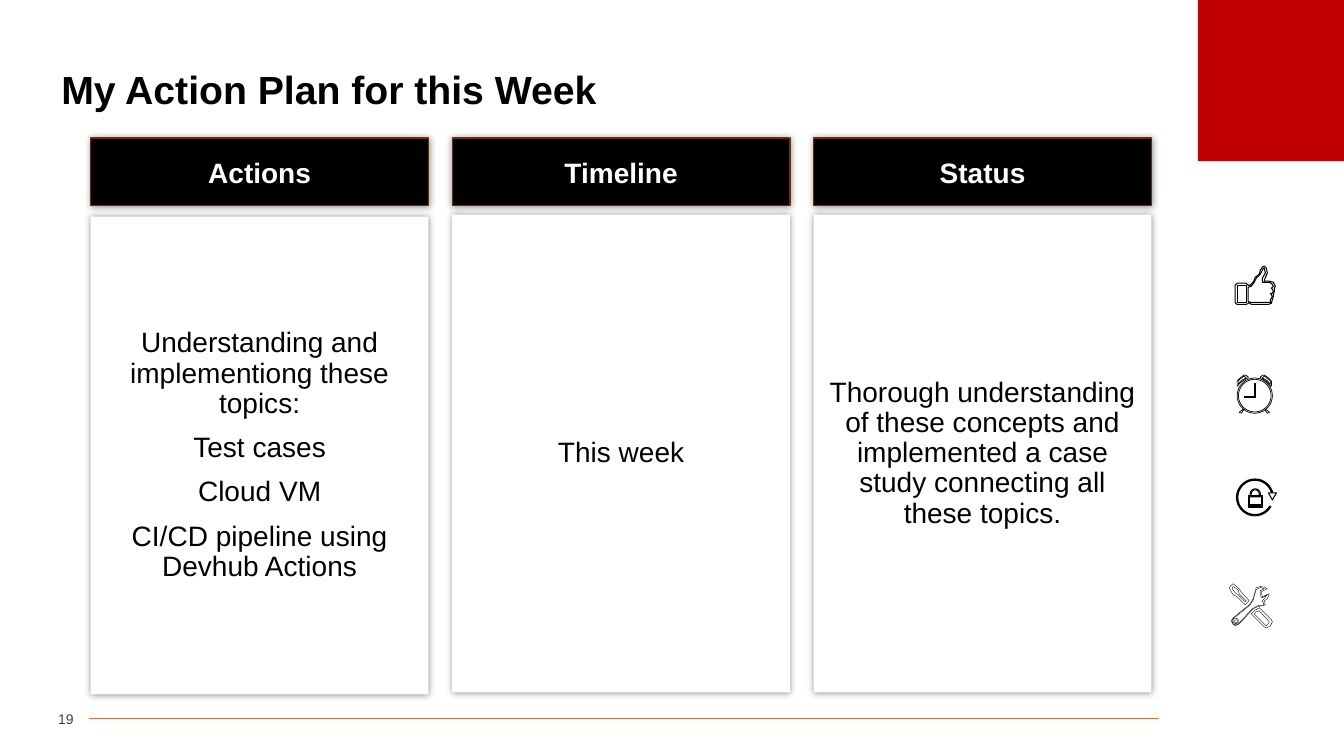
from math import cos, radians, sin
from typing import NamedTuple

from lxml import etree
from pptx import Presentation
from pptx import util as u
from pptx.dml.color import RGBColor
from pptx.enum import shapes, text
from pptx.oxml.ns import qn

Point = tuple[float, float]
Path = list[Point]

LEFT = text.PP_ALIGN.LEFT
MID = text.PP_ALIGN.CENTER
RIGHT = text.PP_ALIGN.RIGHT
WIDE, STEP, START = 3.35, 3.585, 0.9


class Style(NamedTuple):
    size: float
    tint: str
    bold: bool = False
    align: text.PP_ALIGN = MID
    lead: float = 1.0
    before: float = 0


class Column(NamedTuple):
    head: str
    top: float
    lines: list[str]


class Glyph(NamedTuple):
    """One outlined part of an icon; points are in hundredths of an inch."""
    width: float
    paths: list[Path]


TITLE = Style(28, "000000", True, LEFT, 0.9)
HEAD = Style(20, "FFFFFF", True)
BODY = Style(20, "000000", lead=0.9, before=10)
NUMBER = Style(10, "404040", align=RIGHT)

COLUMNS = [
    Column("Actions", 2.15, ["Understanding and implementiong these topics:",
                             "Test cases", "Cloud VM",
                             "CI/CD pipeline using Devhub Actions"]),
    Column("Timeline", 2.13, ["This week"]),
    Column("Status", 2.13, ["Thorough understanding of these concepts and "
                            "implemented a case study connecting all these topics."]),
]


def arc(x: float, y: float, r: float, a: int = 0, b: int = 360) -> Path:
    step = 10 if b > a else -10
    return [(x + r * cos(radians(t)), y + r * sin(radians(t)))
            for t in range(a, b + step, step)]


def box(x: float, y: float, w: float, h: float) -> Path:
    return [(x, y), (x + w, y), (x + w, y + h), (x, y + h)]


def flip(path: Path, axis: float) -> Path:
    return [(2 * axis - x, y) for x, y in path]


# Thumb
THUMB = [
    Glyph(0.75, [
        [(1264, 286), (1265, 284), (1263, 280), (1259, 279), (1254, 279), (1254, 278),
         (1257, 271), (1256, 266), (1254, 264), (1252, 265), (1250, 268), (1249, 272),
         (1245, 275), (1243, 280), (1240, 283), (1238, 283), (1236, 281), (1227, 281),
         (1225, 283), (1225, 300), (1227, 302), (1236, 302), (1238, 301), (1239, 300),
         (1241, 302), (1258, 302), (1261, 301), (1262, 297), (1263, 294), (1263, 292),
         (1264, 289)],
        box(1227, 283, 9, 17),
        [(1262, 285), (1261, 286), (1262, 287), (1263, 289), (1262, 291), (1260, 291),
         (1262, 294), (1261, 296), (1260, 297), (1260, 300), (1258, 300), (1240, 300),
         (1238, 299), (1238, 285), (1241, 284), (1244, 280), (1246, 276), (1250, 272),
         (1252, 268), (1253, 266), (1254, 266), (1255, 271), (1252, 276), (1252, 280),
         (1259, 280), (1262, 282), (1263, 284)],
    ]),
]

# Clock
BELL = [[(1260, 383), (1260, 382), (1257, 379), (1251, 375), (1250, 375), (1250, 374),
         (1252, 372.5), (1254, 372), (1258, 375), (1261, 378), (1261, 383)],
        [(1252, 375), (1256, 377), (1260, 381), (1260, 378), (1258, 376), (1254, 373)]]
FOOT = [[(1257, 410), (1254, 406), (1254, 405), (1259, 409)]]
CLOCK = [Glyph(0.5, [flip(p, 1244) if turn else p for p in part])
         for part in (BELL, FOOT) for turn in (False, True)]
CLOCK += [
    Glyph(0.5, [arc(1244.5, 392.5, 17.5), arc(1244.5, 392.5, 16.2)]),
    Glyph(0.5, [[(1245, 394), (1234, 394), (1234, 393), (1244, 393),
                 (1244, 380), (1245, 380)]]),
]

# Lock
LOCK = [
    Glyph(0.75, [arc(1244.7, 493.5, 18.3, 30, 360) + arc(1244.7, 493.5, 17, 360, 30)]),
    Glyph(0.75, [[(1258, 489), (1262, 496), (1266, 489)]]),
    Glyph(0.75, [[(1240, 493)] + arc(1245, 490, 5, 180, 360) + [(1250, 493)],
                 [(1241, 492)] + arc(1245, 490, 4, 180, 360) + [(1249, 492)]]),
    Glyph(0.75, [box(1238, 492, 14, 11), box(1239, 493, 12, 8)]),
]

# Tools
TOOLS = [
    Glyph(0.25, [
        [(1256, 623), (1254, 622), (1241, 609), (1244, 606), (1249, 603), (1261, 615),
         (1262, 617), (1260, 621), (1258, 622)],
        [(1256, 621), (1258, 619), (1259, 617), (1249, 606), (1246, 607), (1244, 609)]]),
    Glyph(0.25, [
        [(1235, 600), (1227, 592), (1223, 590), (1219, 583), (1223, 579), (1229, 584),
         (1231, 587), (1239, 596), (1237, 598)],
        [(1225, 588), (1228, 590), (1235, 597), (1236, 596), (1229, 589), (1228, 585),
         (1223, 582), (1222, 584)]]),
    Glyph(0.25, [
        [(1251, 582), (1250, 582), (1246, 583), (1245, 586), (1243, 594), (1239, 600),
         (1223, 613), (1221, 616), (1223, 619), (1225, 621), (1229, 619), (1243, 604),
         (1247, 602), (1255, 600), (1254, 596), (1257, 594), (1259, 589), (1252, 592),
         (1251, 587), (1257, 584), (1254, 582.5)],
        [(1251, 583), (1254, 584), (1250, 586), (1250, 589), (1251, 593), (1252, 593),
         (1257, 590), (1253, 595), (1252, 596), (1254, 600), (1247, 601), (1242, 604),
         (1228, 619), (1225, 620), (1223, 619), (1222, 616), (1223, 614), (1240, 600),
         (1243, 595), (1245, 588), (1246, 585), (1250, 583)],
        arc(1225.7, 616, 2.7), arc(1225.9, 616.4, 1.5)]),
]


def color(code: str) -> RGBColor:
    return RGBColor.from_string(code)


def paint(shape, fill: str, line: str = "", width: float = 0) -> None:
    shape.shadow.inherit = False
    shape.fill.solid()
    shape.fill.fore_color.rgb = color(fill)
    if line:
        shape.line.color.rgb = color(line)
        shape.line.width = u.Pt(width)
    else:
        shape.line.fill.background()


def glow(shape) -> None:
    effect = shape._element.spPr.find(qn("a:effectLst"))
    shade = etree.SubElement(effect, qn("a:outerShdw"), blurRad=str(u.Pt(5)),
                             dist="0", dir="0", algn="ctr", rotWithShape="0")
    tint = etree.SubElement(shade, qn("a:srgbClr"), val="000000")
    etree.SubElement(tint, qn("a:alpha"), val="40000")


def write(shape, lines: list[str], style: Style) -> None:
    frame = shape.text_frame
    frame.word_wrap = True
    frame.vertical_anchor = text.MSO_ANCHOR.MIDDLE
    frame.text = "\n".join(lines)
    layout = {"alignment": style.align, "line_spacing": style.lead,
              "space_before": u.Pt(style.before)}
    face = {"name": "Arial", "size": u.Pt(style.size), "bold": style.bold}
    for para in frame.paragraphs:
        for key, value in layout.items():
            setattr(para, key, value)
        for run in para.runs:
            for key, value in face.items():
                setattr(run.font, key, value)
            run.font.color.rgb = color(style.tint)


def block(slide, *place: float):
    return slide.shapes.add_shape(shapes.MSO_SHAPE.RECTANGLE, *map(u.Inches, place))


def label(slide, place: Point, size: Point, words: str, style: Style):
    shape = slide.shapes.add_textbox(*map(u.Inches, place + size))
    write(shape, [words], style)
    return shape


def draw(slide, glyph: Glyph) -> None:
    paths = [[(x * 10, y * 10) for x, y in path] for path in glyph.paths]
    pen = slide.shapes.build_freeform(*paths[0][0], scale=u.Inches(1) / 1000)
    for i, path in enumerate(paths):
        if i:
            pen.move_to(*path[0])
        pen.add_line_segments(path[1:], close=True)
    paint(pen.convert_to_shape(), "FFFFFF", "000000", glyph.width)


def main() -> None:
    deck = Presentation()
    deck.slide_width, deck.slide_height = u.Inches(13.33), u.Inches(7.5)
    slide = deck.slides.add_slide(deck.slide_layouts[6])

    # Frame: footer rule, corner block, title and page number
    rule = slide.shapes.add_connector(shapes.MSO_CONNECTOR.STRAIGHT, u.Inches(0.88),
                                      u.Inches(7.13), u.Inches(11.5), u.Inches(7.13))
    rule.line.color.rgb = color("FF6600")
    rule.line.width = u.Pt(0.5)
    etree.SubElement(rule._element.spPr, qn("a:effectLst"))
    paint(block(slide, 11.88, 0, 1.46, 1.6), "C00000")
    label(slide, (0.51, 0.52), (12.31, 0.78), "My Action Plan for this Week", TITLE)
    page = label(slide, (0.33, 6.99), (0.4, 0.29), "19", NUMBER)
    page.text_frame.margin_left = page.text_frame.margin_right = 0

    # Cards, then their heads
    for i, col in enumerate(COLUMNS):
        card = block(slide, START + i * STEP, col.top, WIDE, 4.74)
        paint(card, "FFFFFF")
        glow(card)
        write(card, col.lines, BODY)
    for i, col in enumerate(COLUMNS):
        head = block(slide, START + i * STEP, 1.37, WIDE, 0.67)
        paint(head, "000000", "702D00", 1)
        glow(head)
        write(head, [col.head], HEAD)

    # Icons
    for glyph in THUMB + CLOCK + LOCK + TOOLS:
        draw(slide, glyph)

    deck.save("out.pptx")


if __name__ == "__main__":
    main()
